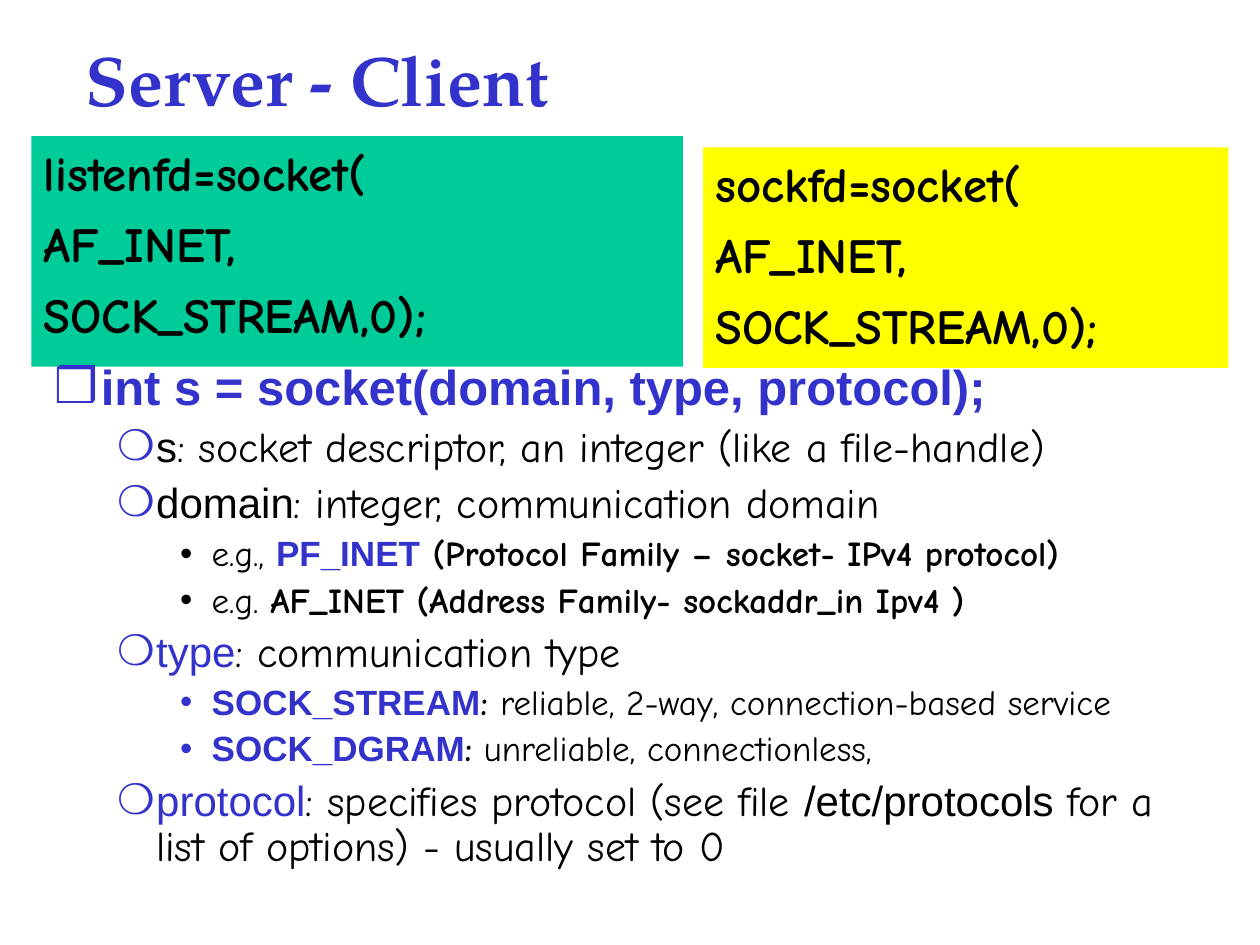
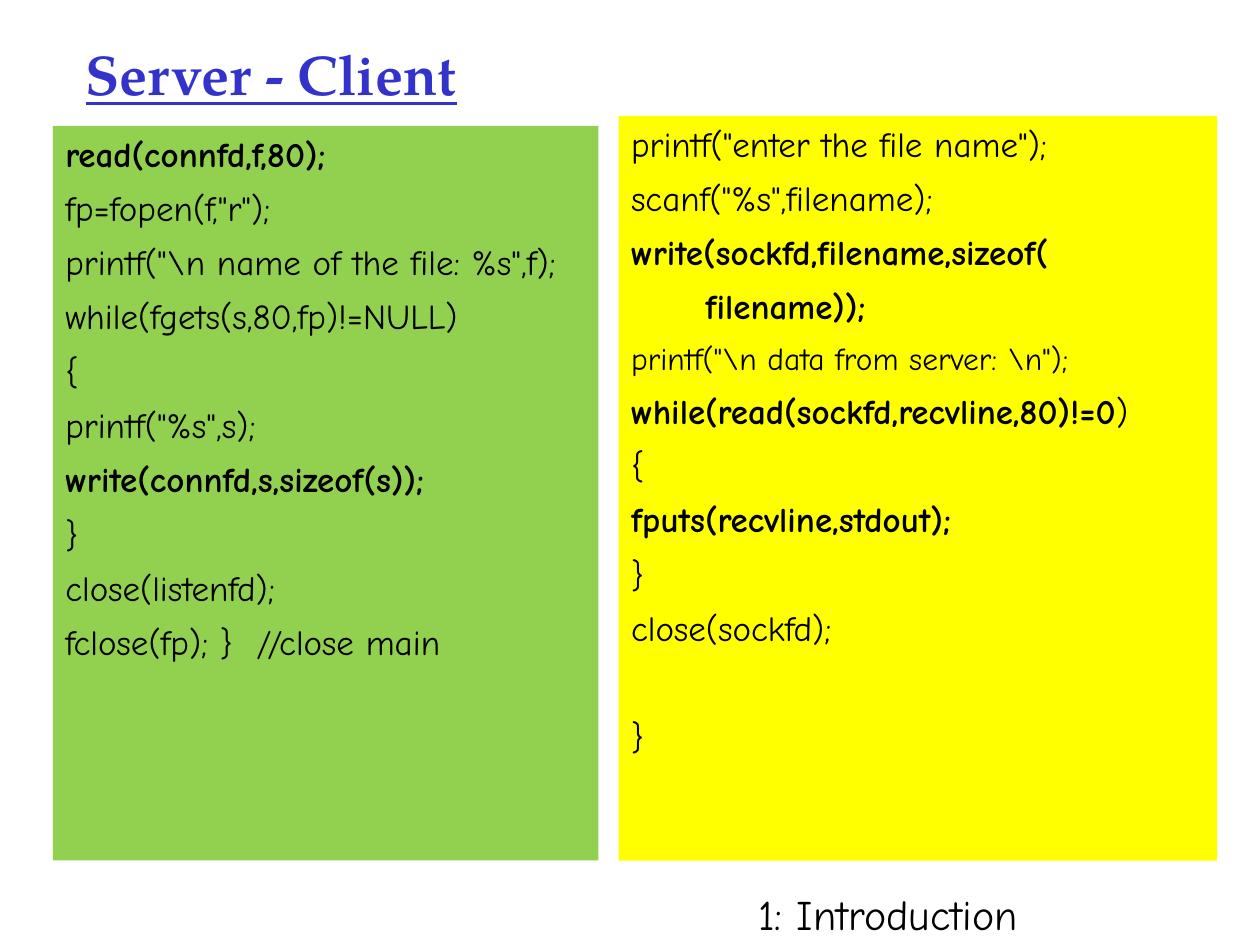
import pptx
import pptx.util
import pptx.dml.color
import pptx.enum.shapes
import pptx.enum.text
import pptx.oxml.ns
import lxml.etree

Inches, Pt = pptx.util.Inches, pptx.util.Pt

COLORS = {
    "blue": "3333CC",
    "black": "000000",
    "teal": "00CC99",
    "green": "92D050",
    "yellow": "FFFF00",
}
TITLE_FONT, CODE_FONT, API_FONT = "TeX Gyre Pagella", "Comic Neue", "Arial"

STYLES = {
    "plain": (CODE_FONT, False, "black"),
    "bold": (CODE_FONT, True, "black"),
    "api": (API_FONT, False, "black"),
    "api blue": (API_FONT, False, "blue"),
    "api bold": (API_FONT, True, "blue"),
    "title": (TITLE_FONT, True, "blue"),
}
LEVELS = [
    {"size": 28, "left": 0.37, "hang": 0.37, "before": 7, "char": "❒"},
    {"size": 24, "left": 0.81, "hang": 0.31, "before": 6, "char": "❍"},
    {"size": 20, "left": 1.25, "hang": 0.25, "before": 5, "char": "•"},
]


def add_run(p, text, style, size, **extra):
    name, bold, color = STYLES[style]
    r = p.add_run()
    r.text = text
    for key, value in {"name": name, "bold": bold, "size": Pt(size), **extra}.items():
        setattr(r.font, key, value)
    r.font.color.rgb = pptx.dml.color.RGBColor.from_string(COLORS[color])


def place(sp, box, anchor):
    sp.left, sp.top, sp.width, sp.height = map(Inches, box)
    frame = {
        "word_wrap": True,
        "auto_size": pptx.enum.text.MSO_AUTO_SIZE.NONE,
        "vertical_anchor": anchor,
    }
    for key, value in frame.items():
        setattr(sp.text_frame, key, value)
    return sp.text_frame


TOP, MIDDLE = pptx.enum.text.MSO_ANCHOR.TOP, pptx.enum.text.MSO_ANCHOR.MIDDLE
LEFT = pptx.enum.text.PP_ALIGN.LEFT

slides = [
    {
        "layout": 1,
        "title": {"height": 0.93, "size": 40, "underline": False},
        "panels": [
            ("teal", (0.25, 1.08, 5.17, 1.83), 28, [
                ("listenfd=socket(", "bold"),
                ("AF_INET,", "bold"),
                ("SOCK_STREAM,0);", "bold"),
            ]),
            ("yellow", (5.58, 1.17, 4.17, 1.75), 28, [
                ("sockfd=socket(", "bold"),
                ("AF_INET,", "bold"),
                ("SOCK_STREAM,0);", "bold"),
            ]),
        ],
    },
    {
        "layout": 5,
        "title": {"height": 0.84, "size": 32, "underline": True},
        "panels": [
            ("green", (0.42, 1, 4.33, 5.83), 20, [
                ("read(connfd,f,80);", "bold"),
                ('fp=fopen(f,"r");', "plain"),
                ('printf("\\n name of the file: %s",f);', "plain"),
                ("while(fgets(s,80,fp)!=NULL)", "plain"),
                ("{", "plain"),
                ('printf("%s",s);', "plain"),
                ("write(connfd,s,sizeof(s));", "bold"),
                ("}", "plain"),
                ("close(listenfd);", "plain"),
                ("fclose(fp); }  //close main", "plain"),
            ]),
            ("yellow", (4.91, 0.92, 4.75, 5.91), 20, [
                ('printf("enter the file name");', "plain"),
                ('scanf("%s",filename);', "plain"),
                ("write(sockfd,filename,sizeof(", "bold"),
                ("filename));", "bold", {"indent": 0.59}),
                ('printf("\\n data from server: \\n");', "plain", {"size": 18}),
                ("while(read(sockfd,recvline,80)!=0", "bold", {"tail": ")"}),
                ("{", "plain"),
                ("fputs(recvline,stdout);", "bold"),
                ("}", "plain"),
                ("close(sockfd);", "plain"),
                ("}", "plain", {"before": 38}),
            ]),
        ],
    },
]

bullets = [
    (0, "blue", [("int s = socket(domain, type, protocol);", "api bold")]),
    (1, "blue", [("s", "api"),
                 (": socket descriptor, an integer (like a file-handle)", "plain")]),
    (1, "blue", [("domain", "api"), (": integer, communication domain", "plain")]),
    (2, "black", [("e.g., ", "plain"), ("PF_INET", "api bold"),
                  (" (Protocol Family – socket- IPv4 protocol)", "bold")]),
    (2, "black", [("e.g. ", "plain"),
                  ("AF_INET (Address Family- sockaddr_in Ipv4 )", "bold")]),
    (1, "blue", [("type", "api blue"), (": communication type", "plain")]),
    (2, "blue", [("SOCK_STREAM", "api bold"), (": ", "bold"),
                 ("reliable, 2-way, connection-based service", "plain")]),
    (2, "blue", [("SOCK_DGRAM", "api bold"), (":", "bold"),
                 (" unreliable, connectionless,", "plain")]),
    (1, "blue", [("protocol", "api blue"), (": specifies protocol (see file ", "plain"),
                 ("/etc/protocols", "api"),
                 (" for a list of options) - usually set to 0", "plain")]),
]

prs = pptx.Presentation()
prs.slide_width, prs.slide_height = Inches(10), Inches(7.5)

for content in slides:
    s = prs.slides.add_slide(prs.slide_layouts[content["layout"]])
    title = content["title"]
    tf = place(s.shapes.title, (0.58, 0.16, 8.5, title["height"]), MIDDLE)
    p = tf.paragraphs[0]
    p.alignment = LEFT
    add_run(p, "Server - Client", "title", title["size"], underline=title["underline"])

    for fill, box, size, lines in content["panels"]:
        sp = s.shapes.add_shape(pptx.enum.shapes.MSO_SHAPE.RECTANGLE, 0, 0, 0, 0)
        sp.shadow.inherit = False
        sp.fill.solid()
        sp.fill.fore_color.rgb = pptx.dml.color.RGBColor.from_string(COLORS[fill])
        sp.line.fill.background()
        tf = place(sp, box, TOP)
        for i, (text, style, *options) in enumerate(lines):
            fmt = options[0] if options else {}
            p = tf.add_paragraph() if i else tf.paragraphs[0]
            p.alignment = LEFT
            p.space_before = Pt(fmt.get("before", 7))
            if "indent" in fmt:
                p._p.get_or_add_pPr().set("marL", str(Inches(fmt["indent"])))
            add_run(p, text, style, fmt.get("size", size))
            if "tail" in fmt:
                add_run(p, fmt["tail"], "plain", size)

socket_slide, transfer_slide = prs.slides

body = socket_slide.placeholders[1]
socket_slide.shapes.element.append(body.element)
tf = place(body, (0.33, 2.83, 9.08, 4.33), TOP)
for i, (level, bullet_color, runs) in enumerate(bullets):
    fmt = LEVELS[level]
    p = tf.add_paragraph() if i else tf.paragraphs[0]
    for key, value in {"level": level, "line_spacing": 0.9,
                       "space_before": Pt(fmt["before"])}.items():
        setattr(p, key, value)
    pPr = p._p.get_or_add_pPr()
    pPr.set("marL", str(Inches(fmt["left"])))
    pPr.set("indent", str(-Inches(fmt["hang"])))
    buClr = lxml.etree.SubElement(pPr, pptx.oxml.ns.qn("a:buClr"))
    lxml.etree.SubElement(buClr, pptx.oxml.ns.qn("a:srgbClr"), val=COLORS[bullet_color])
    lxml.etree.SubElement(pPr, pptx.oxml.ns.qn("a:buChar"), char=fmt["char"])
    for text, style in runs:
        add_run(p, text, style, fmt["size"])

footer = transfer_slide.shapes.add_textbox(0, 0, 0, 0)
tf = place(footer, (5.92, 7, 3.16, 0.5), TOP)
add_run(tf.paragraphs[0], "1: Introduction", "plain", 24)

prs.save("out.pptx")
